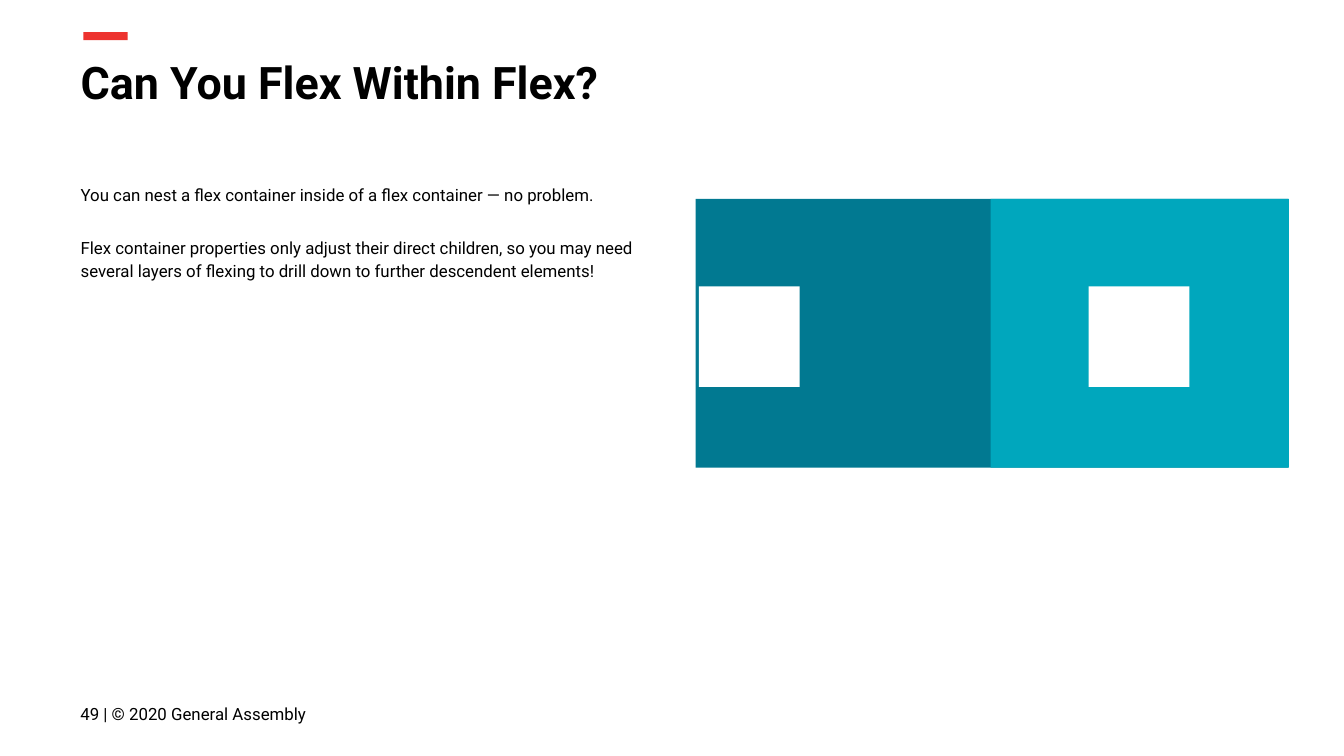
import pptx
import pptx.util
import pptx.dml.color
import pptx.enum.shapes
import pptx.enum.text
import pptx.oxml.ns
import lxml.etree

Inches = pptx.util.Inches
Pt = pptx.util.Pt
TOP = pptx.enum.text.MSO_ANCHOR.TOP
MIDDLE = pptx.enum.text.MSO_ANCHOR.MIDDLE

FONT = "Roboto"
COLORS = {
    "text": "000000",
    "accent": "ED332F",
    "dark": "017991",
    "light": "00A7BD",
    "item": "FFFFFF",
}


def color(name):
    return pptx.dml.color.RGBColor.from_string(COLORS[name])


def add_rect(slide, box, fill, turn=0):
    kind = pptx.enum.shapes.MSO_SHAPE.RECTANGLE
    rect = slide.shapes.add_shape(kind, *map(Inches, box))
    rect.rotation = turn
    rect.shadow.inherit = False
    rect.fill.solid()
    rect.fill.fore_color.rgb = color(fill)
    rect.line.fill.background()


def add_panel(slide, left, length, fill):
    # Turned on its side, so its height runs across the slide
    middle = 2.48
    add_rect(slide, (left, middle - length / 2, 2, length), fill, turn=270)


def place(shape, box):
    shape.left, shape.top, shape.width, shape.height = map(Inches, box)


def set_text(shape, lines, size, bold=False, anchor=TOP, spacing=1.0, gap=0):
    frame = shape.text_frame
    frame.text = "\n".join(lines)
    frame.word_wrap = True
    frame.auto_size = pptx.enum.text.MSO_AUTO_SIZE.NONE
    frame.vertical_anchor = anchor
    frame.margin_left = frame.margin_right = Inches(0.1)
    frame.margin_top = frame.margin_bottom = Inches(0.1)
    for index, para in enumerate(frame.paragraphs):
        para.alignment = pptx.enum.text.PP_ALIGN.LEFT
        para.line_spacing = spacing
        para.space_before = Pt(gap if index else 0)
        para.space_after = Pt(gap if index else 0)
        for run in para.runs:
            run.font.name = FONT
            run.font.size = Pt(size)
            run.font.bold = bold
            run.font.color.rgb = color("text")


def clear_bullets(shape):
    for para in shape.text_frame.paragraphs:
        props = para._p.get_or_add_pPr()
        props.set("marL", "0")
        props.set("indent", "0")
        lxml.etree.SubElement(props, pptx.oxml.ns.qn("a:buNone"))


def main():
    # Widescreen 16:9 slide
    deck = pptx.Presentation()
    deck.slide_width = Inches(10)
    deck.slide_height = Inches(10 * 9 / 16)
    slide = deck.slides.add_slide(deck.slide_layouts[1])
    title, body = slide.placeholders

    # Accent bar and title
    add_rect(slide, (0.62, 0.24, 0.33, 0.06), "accent")
    place(title, (0.5, 0.31, 9.32, 0.63))
    set_text(title, ["Can You Flex Within Flex?"], 24, bold=True)

    # Explanation
    place(body, (0.5, 1.25, 4.5, 3.21))
    set_text(body, [
        "You can nest a flex container inside of a flex container — no problem.",
        "Flex container properties only adjust their direct children, so you "
        "may need several layers of flexing to drill down to further "
        "descendent elements!",
    ], 9, spacing=1.15, gap=16)
    clear_bullets(body)

    # Nested containers with one item each
    add_panel(slide, 6.38, 4.41, "dark")
    add_panel(slide, 7.48, 2.22, "light")
    for left in (5.2, 8.1):
        add_rect(slide, (left, 2.13, 0.75, 0.75), "item")

    # Footer
    foot = slide.shapes.add_textbox(*map(Inches, (0.5, 5.1, 2.59, 0.43)))
    set_text(foot, ["49 | © 2020 General Assembly"], 9, anchor=MIDDLE)

    deck.save("out.pptx")


if __name__ == "__main__":
    main()
